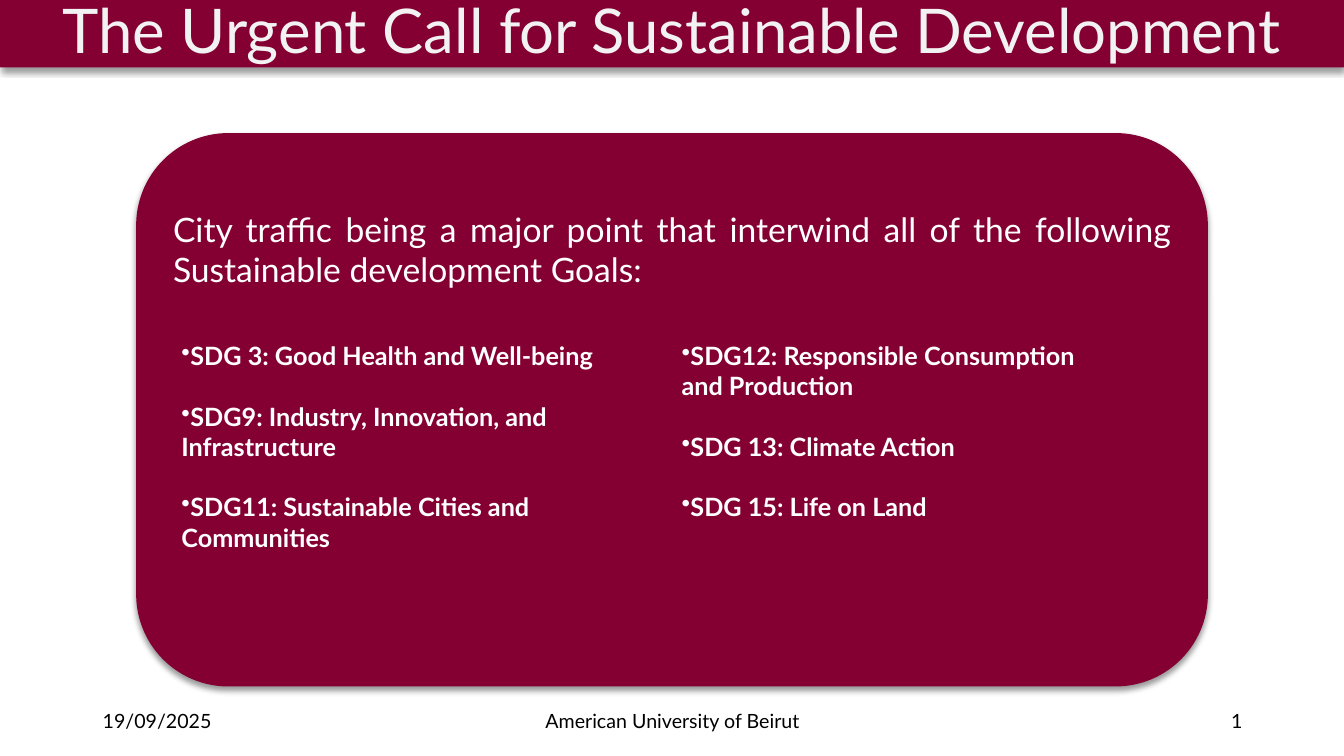
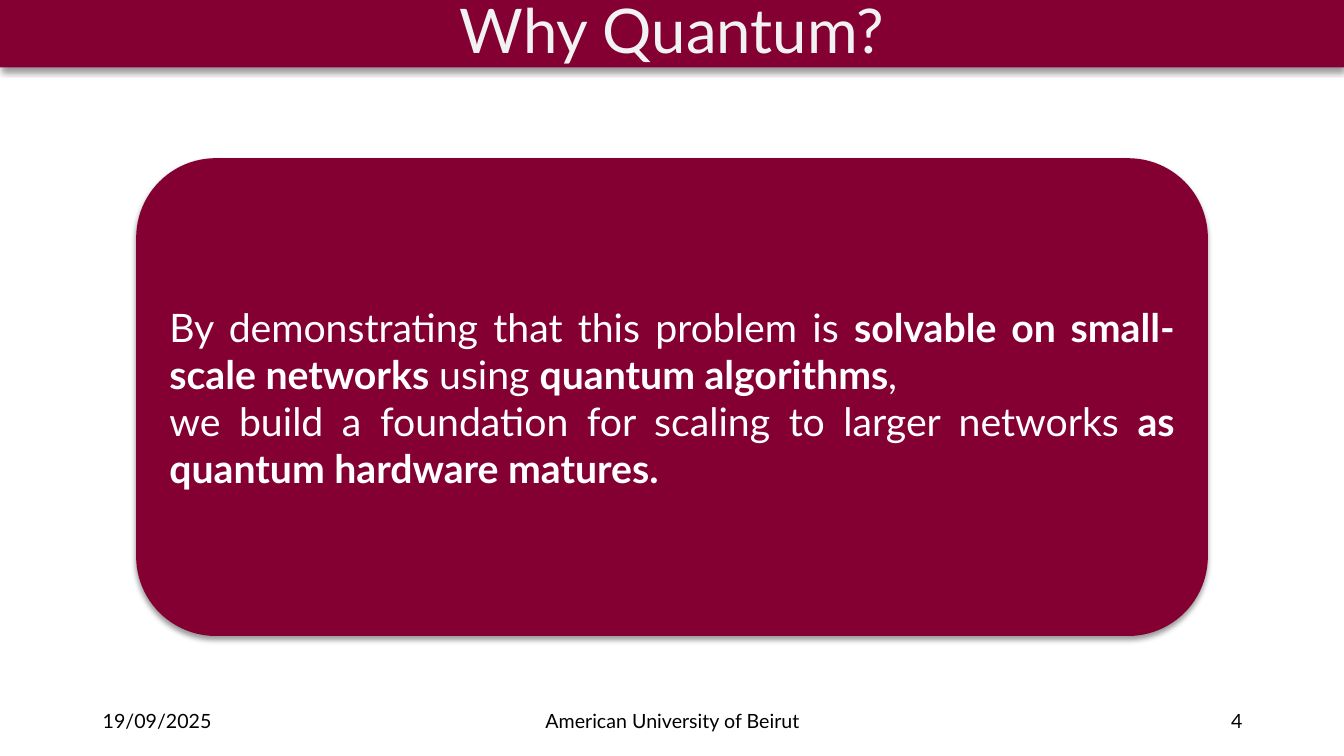
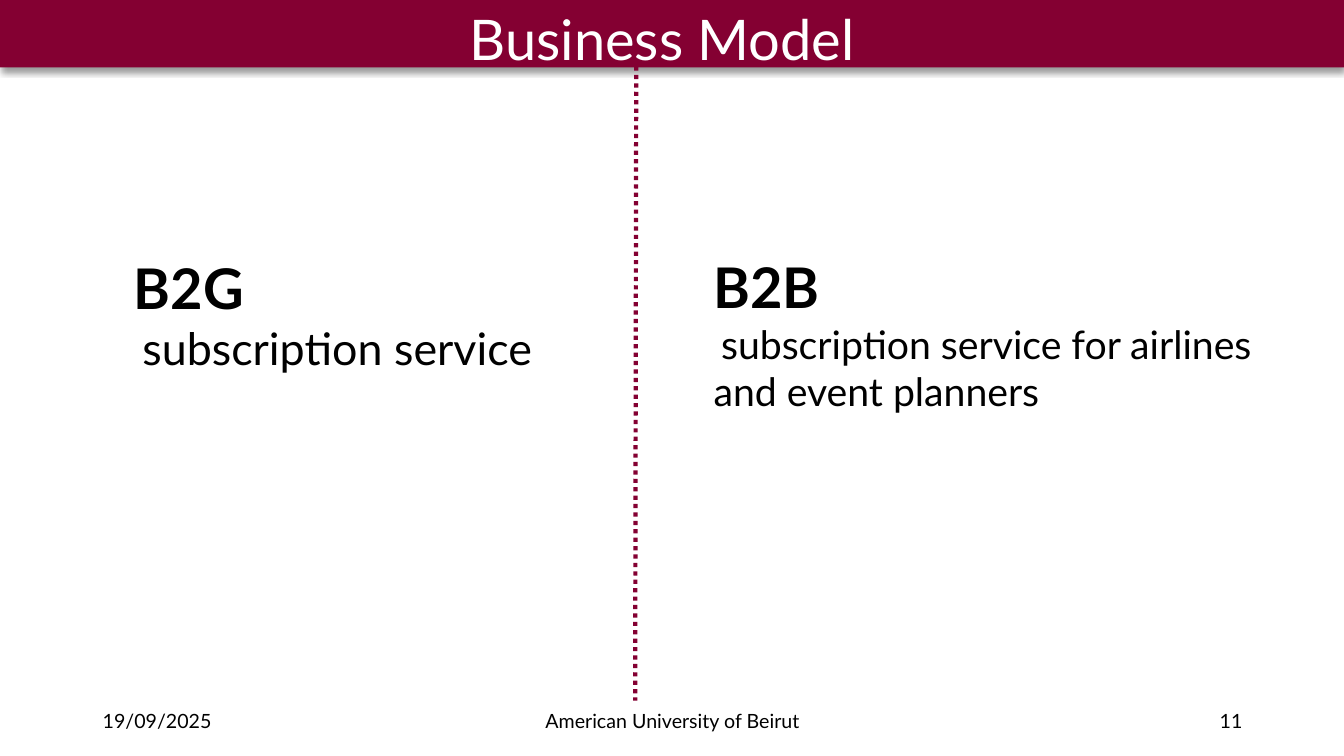
from dataclasses import dataclass, field

import pptx
import pptx.dml.color
import pptx.enum.dml
import pptx.enum.shapes
import pptx.enum.text
import pptx.oxml
import pptx.oxml.ns
import pptx.util

Pt = pptx.util.Pt
RGBColor = pptx.dml.color.RGBColor
Align = pptx.enum.text.PP_ALIGN
Anchor = pptx.enum.text.MSO_ANCHOR
Form = pptx.enum.shapes.MSO_SHAPE

WINE = RGBColor(0x84, 0x00, 0x32)
WHITE = RGBColor(0xFF, 0xFF, 0xFF)
PALE = RGBColor(0xF2, 0xF2, 0xF2)
BLACK = RGBColor(0x00, 0x00, 0x00)

WIDE = pptx.util.Inches(13.33)
HIGH = pptx.util.Inches(7.5)
NS = pptx.oxml.ns.nsdecls("a")
SHADE = (
    f'<a:effectLst {NS}><a:outerShdw blurRad="{Pt(4)}" dist="{Pt(3)}" dir="5400000" '
    'algn="t" rotWithShape="0"><a:srgbClr val="000000"><a:alpha val="40000"/>'
    "</a:srgbClr></a:outerShdw></a:effectLst>"
)

HEAD = {"size": Pt(44), "color": PALE}
TOPIC = {"size": Pt(40), "color": WHITE}
FOOT = {"size": Pt(14), "color": BLACK}
LEAD = {"size": Pt(24), "color": WHITE}
CLAIM = {"size": Pt(28), "color": WHITE}
STRONG = CLAIM | {"bold": True}
GOAL = {"size": Pt(18), "color": WHITE, "bold": True}
MODEL = {"size": Pt(40), "color": BLACK, "bold": True}


@dataclass
class Box:
    left: float
    top: float
    width: float
    height: float

    def place(self) -> tuple[int, int, int, int]:
        return across(self.left), down(self.top), across(self.width), down(self.height)


@dataclass
class Para:
    runs: list[tuple[str, dict]]
    form: dict = field(default_factory=dict)
    indent: float = 0
    mark: str = ""


def across(share: float) -> int:
    return round(WIDE * share / 100)


def down(share: float) -> int:
    return round(HIGH * share / 100)


def style(item, form: dict) -> None:
    for key, value in form.items():
        if key == "color":
            item.color.rgb = value
        else:
            setattr(item, key, value)


def write(frame, paras: list[Para], form: dict | None = None) -> None:
    style(frame, {"word_wrap": True} | (form or {}))
    for index, para in enumerate(paras):
        line = frame.add_paragraph() if index else frame.paragraphs[0]
        props = line._p.get_or_add_pPr()
        props.set("marL", "0")
        props.set("indent", str(Pt(para.indent)))
        if para.mark:
            props.append(pptx.oxml.parse_xml(f'<a:buChar {NS} char="{para.mark}"/>'))
        style(line, para.form)
        for text, face in para.runs:
            run = line.add_run()
            run.text = text
            style(run.font, {"name": "Lato"} | face)


def block(slide, form, box: Box):
    shape = slide.shapes.add_shape(form, *box.place())
    shape.fill.solid()
    shape.fill.fore_color.rgb = WINE
    shape.line.fill.background()
    shape._element.spPr.append(pptx.oxml.parse_xml(SHADE))
    return shape


def note(slide, box: Box, paras: list[Para], form: dict | None = None) -> None:
    write(slide.shapes.add_textbox(*box.place()).text_frame, paras, form)


def panel(slide, top: float, height: float, paras: list[Para], form: dict) -> None:
    width = 79.74
    shape = block(slide, Form.ROUNDED_RECTANGLE, Box((100 - width) / 2, top, width, height))
    write(shape.text_frame, paras, form)


def start(deck, number: int, title: str = ""):
    slide = deck.slides.add_slide(deck.slide_layouts[6])
    band = block(slide, Form.RECTANGLE, Box(0, -0.67, 100, 9.6))
    if title:
        centre = {"alignment": Align.CENTER, "line_spacing": 0.9}
        write(band.text_frame, [Para([(title, HEAD)], centre)], {"vertical_anchor": Anchor.TOP})
    feet = (
        ("19/09/2025", 6.9, 22.51, Align.LEFT),
        ("American University of Beirut", 33.16, 33.76, Align.CENTER),
        (str(number), 70.67, 22.51, Align.RIGHT),
    )
    for text, left, width, side in feet:
        para = Para([(text, FOOT)], {"alignment": side})
        note(slide, Box(left, 92.67, width, 5.33), [para], {"vertical_anchor": Anchor.MIDDLE})
    return slide


def goals(slide, box: Box, lists: list[tuple[float, list[str]]]) -> None:
    table = slide.shapes.add_table(1, len(lists), *box.place()).table
    style(table, {"first_row": False, "horz_banding": False})
    for index, (width, names) in enumerate(lists):
        table.columns[index].width = across(width)
        cell = table.cell(0, index)
        props = cell._tc.get_or_add_tcPr()
        for edge in "LRTB":
            props.append(pptx.oxml.parse_xml(f'<a:ln{edge} {NS} w="0"><a:noFill/></a:ln{edge}>'))
        cell.fill.solid()
        cell.fill.fore_color.rgb = WINE
        paras = [
            Para([(name, GOAL)], {"space_before": Pt(21.6)} if spot else {}, mark="•")
            for spot, name in enumerate(names)
        ]
        write(cell.text_frame, paras)


def urgent(deck) -> None:
    slide = start(deck, 1, "The Urgent Call for Sustainable Development")
    text = (
        "City traffic being a major point that interwind all of the following "
        "Sustainable development Goals:"
    )
    form = {"vertical_anchor": Anchor.TOP, "margin_top": pptx.util.Inches(0.48)}
    panel(slide, 17.6, 73.2, [Para([(text, LEAD)], {"alignment": Align.JUSTIFY})], form)
    left = [
        "SDG 3: Good Health and Well-being",
        "SDG9: Industry, Innovation, and Infrastructure",
        "SDG11: Sustainable Cities and Communities",
    ]
    right = [
        "SDG12: Responsible Consumption and Production",
        "SDG 13: Climate Action",
        "SDG 15: Life on Land",
    ]
    goals(slide, Box(12.75, 44.4, 68.49, 33.33), [(37.21, left), (31.28, right)])


def quantum(deck) -> None:
    slide = start(deck, 4, "Why Quantum?")
    lines = [
        [
            ("By demonstrating that this problem is ", CLAIM),
            ("solvable on small-scale networks", STRONG),
            (" using ", CLAIM),
            ("quantum algorithms", STRONG),
            (",", CLAIM),
        ],
        [
            ("we build a foundation for scaling to larger networks ", CLAIM),
            ("as quantum hardware matures.", STRONG),
        ],
    ]
    paras = [Para(runs, {"alignment": Align.JUSTIFY}) for runs in lines]
    panel(slide, 20.93, 63.2, paras, {"vertical_anchor": Anchor.MIDDLE})


def model(deck) -> None:
    slide = start(deck, 11)
    note(slide, Box(34.21, 0, 54.31, 10.27), [Para([("Business Model", TOPIC)])])
    plans = (
        ("B2G", "subscription service", 32, Box(9.23, 32.93, 45.76, 35.47)),
        ("B2B", "subscription service for airlines and event planners", 28,
         Box(52.36, 32.8, 45.76, 22.93)),
    )
    for name, text, size, box in plans:
        plain = {"size": Pt(size), "color": BLACK}
        note(slide, box, [Para([(name, MODEL)]), Para([(text, plain)], indent=size * 0.19)])
    rule = slide.shapes.add_connector(
        pptx.enum.shapes.MSO_CONNECTOR.STRAIGHT,
        across(47.34), down(8.8), across(47.26), down(92.67),
    )
    dash = pptx.enum.dml.MSO_LINE.ROUND_DOT
    style(rule.line, {"color": WINE, "width": Pt(3), "dash_style": dash})


def style_rule(rule) -> None:
    rule._element.spPr.append(pptx.oxml.parse_xml(f"<a:effectLst {NS}/>"))


def main() -> None:
    deck = pptx.Presentation()
    style(deck, {"slide_width": WIDE, "slide_height": HIGH})
    for draw in (urgent, quantum, model):
        draw(deck)
    for shape in deck.slides[2].shapes:
        if shape.shape_type == pptx.enum.shapes.MSO_SHAPE_TYPE.LINE:
            style_rule(shape)
    deck.save("out.pptx")


if __name__ == "__main__":
    main()
